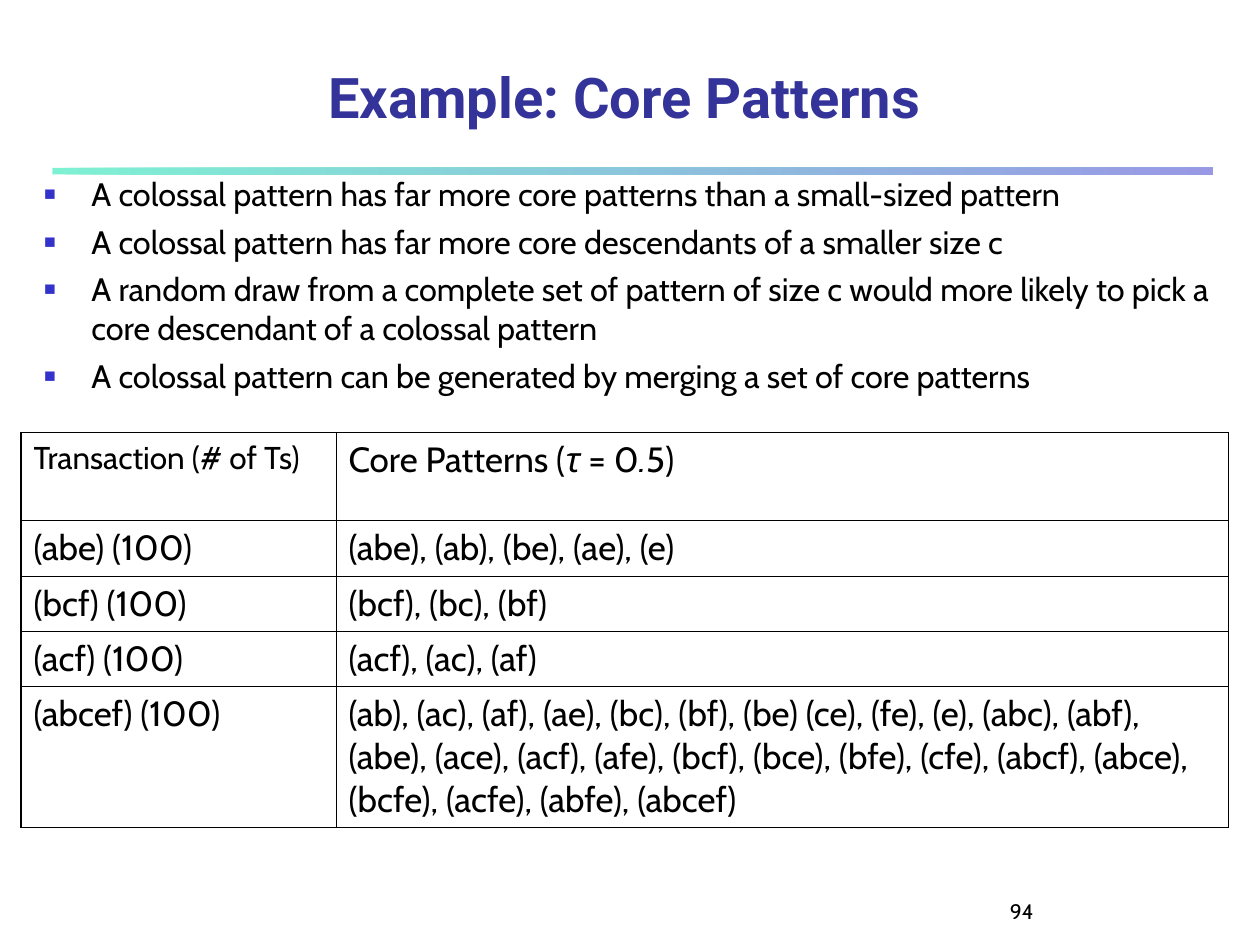
from dataclasses import dataclass

import pptx
import pptx.dml.color
import pptx.enum.shapes
import pptx.enum.text
import pptx.oxml
import pptx.oxml.ns
import pptx.util

# The slide is a grid of 240 columns by 180 rows
COLUMNS, ROWS = 240, 180
WIDTH, HEIGHT = pptx.util.Inches(10), pptx.util.Inches(7.5)
UNIT = WIDTH / COLUMNS

BODY_FONT, TITLE_FONT = "Cabin", "Roboto"
BLACK, NAVY, BLUE, MINT = "000000", "333399", "3333CC", "00E4A8"
THIN, THICK = 0.45, 1.08


@dataclass
class Area:
    column: float
    row: float
    columns: float
    rows: float

    def lengths(self) -> tuple[int, int, int, int]:
        return grid(self.column), grid(self.row), grid(self.columns), grid(self.rows)


@dataclass
class Span:
    text: str
    italic: bool = False


@dataclass
class Entry:
    transaction: list[Span]
    patterns: list[Span]
    rows: float
    transaction_size: float = 20


BULLETS = [
    "A colossal pattern has far more core patterns than a small-sized pattern",
    "A colossal pattern has far more core descendants of a smaller size c",
    "A random draw from a complete set of pattern of size c would more likely "
    "to pick a core descendant of a colossal pattern",
    "A colossal pattern can be generated by merging a set of core patterns",
]
ENTRIES = [
    Entry([Span("Transaction (# of Ts)")],
          [Span("Core Patterns ("), Span("τ ", True), Span("= 0"),
           Span(".", True), Span("5)")], 16.8, 18),
    Entry([Span("(abe) (100)")], [Span("(abe), (ab), (be), (ae), (e)")], 10.5),
    Entry([Span("(bcf) (100)")], [Span("(bcf), (bc), (bf)")], 10.5),
    Entry([Span("(acf) (100)")], [Span("(acf), (ac), (af)")], 10.5),
    Entry([Span("(abcef) (100)")],
          [Span("(ab), (ac), (af), (ae), (bc), (bf), (be) (ce), (fe), (e), (abc), "
                "(abf), (abe), (ace), (acf), (afe), (bcf), (bce), (bfe), (cfe), "
                "(abcf), (abce), (bcfe), (acfe), (abfe), (abcef)")], 26.5),
]
TABLE_COLUMNS = [60, 170]


def grid(units: float) -> int:
    return round(units * UNIT)


def colour(value: str) -> pptx.dml.color.RGBColor:
    return pptx.dml.color.RGBColor.from_string(value)


def add_xml(parent, xml: str) -> None:
    namespace = pptx.oxml.ns.nsdecls("a")
    parent.append(pptx.oxml.parse_xml(xml.replace(" ", f" {namespace} ", 1)))


def set_font(para, size: float, name: str = BODY_FONT, value: str = BLACK,
             bold: bool = False) -> None:
    para.font.size = pptx.util.Pt(size)
    para.font.name = name
    para.font.bold = bold
    para.font.color.rgb = colour(value)


def place(shape, area: Area) -> None:
    shape.left, shape.top, shape.width, shape.height = area.lengths()


def send_to_back(page, shape) -> None:
    page.shapes._spTree.insert(2, shape._element)


def draw_bar(page, area: Area) -> None:
    bar = page.shapes.add_shape(
        pptx.enum.shapes.MSO_SHAPE.RECTANGLE, *area.lengths())
    bar.shadow.inherit = False
    bar.line.fill.background()
    bar.fill.gradient()
    bar.fill.gradient_angle = 0
    for stop, value, position in zip(bar.fill.gradient_stops, (MINT, BLUE), (0, 1)):
        stop.color.rgb = colour(value)
        stop.position = position
    for stop_colour in bar._element.xpath(".//a:gs/a:srgbClr"):
        add_xml(stop_colour, '<a:alpha val="50000"/>')
    send_to_back(page, bar)


def draw_number(page, area: Area, text: str) -> None:
    box = page.shapes.add_textbox(*area.lengths())
    box.text_frame.word_wrap = True
    box.text_frame.text = text
    set_font(box.text_frame.paragraphs[0], 12)
    send_to_back(page, box)


def fill_title(box, area: Area, text: str) -> None:
    place(box, area)
    frame = box.text_frame
    frame.auto_size = pptx.enum.text.MSO_AUTO_SIZE.NONE
    frame.vertical_anchor = pptx.enum.text.MSO_ANCHOR.BOTTOM
    frame.text = text
    para = frame.paragraphs[0]
    para.alignment = pptx.enum.text.PP_ALIGN.CENTER
    set_font(para, 32, TITLE_FONT, NAVY, bold=True)


def fill_list(box, area: Area, items: list[str]) -> None:
    place(box, area)
    frame = box.text_frame
    frame.auto_size = pptx.enum.text.MSO_AUTO_SIZE.NONE
    frame.text = "\n".join(items)
    indent = grid(9)
    for index, para in enumerate(frame.paragraphs):
        para.space_before = pptx.util.Pt(5 if index else 0)
        properties = para._p.get_or_add_pPr()
        properties.set("marL", str(indent))
        properties.set("indent", str(-indent))
        add_xml(properties, f'<a:buClr ><a:srgbClr val="{BLUE}"/></a:buClr>')
        add_xml(properties, '<a:buSzPct val="60000"/>')
        add_xml(properties, '<a:buChar char="■"/>')
        set_font(para, 18.5)


def fill_cell(cell, spans: list[Span], size: float, thick_sides: str) -> None:
    para = cell.text_frame.paragraphs[0]
    set_font(para, size)
    for span in spans:
        run = para.add_run()
        run.text = span.text
        if span.italic:
            run.font.italic = True
    properties = cell._tc.get_or_add_tcPr()
    for side in "LRTB":
        width = pptx.util.Pt(THICK if side in thick_sides else THIN)
        add_xml(properties, f'<a:ln{side} w="{width}"><a:solidFill>'
                            f'<a:srgbClr val="{BLACK}"/></a:solidFill></a:ln{side}>')
    cell.fill.background()


def draw_table(page, column: float, row: float, entries: list[Entry]) -> None:
    area = Area(column, row, sum(TABLE_COLUMNS), sum(entry.rows for entry in entries))
    table = page.shapes.add_table(
        len(entries), len(TABLE_COLUMNS), *area.lengths()).table
    table.first_row = table.horz_banding = False
    for table_column, columns in zip(table.columns, TABLE_COLUMNS):
        table_column.width = grid(columns)
    for index, entry in enumerate(entries):
        table.rows[index].height = grid(entry.rows)
        # The outer frame is thicker than the inner rules
        ends = "T" * (index == 0) + "B" * (index == len(entries) - 1)
        fill_cell(table.cell(index, 0), entry.transaction,
                  entry.transaction_size, ends + "L")
        fill_cell(table.cell(index, 1), entry.patterns, 20, ends + "R")


def main() -> None:
    deck = pptx.Presentation()
    deck.slide_width, deck.slide_height = WIDTH, HEIGHT
    page = deck.slides.add_slide(deck.slide_layouts[1])

    # Heading and list
    fill_title(page.shapes.title, Area(10, 10, 218, 16), "Example: Core Patterns")
    fill_list(page.placeholders[1], Area(6, 32, 228, 48), BULLETS)

    # Page number and rule behind the text
    draw_number(page, Area(190, 170, 50, 10), "94")
    draw_bar(page, Area(10, 32, 221, 1.25))

    # Transactions and their core patterns
    draw_table(page, 4, 82.4, ENTRIES)
    deck.save("out.pptx")


if __name__ == "__main__":
    main()
